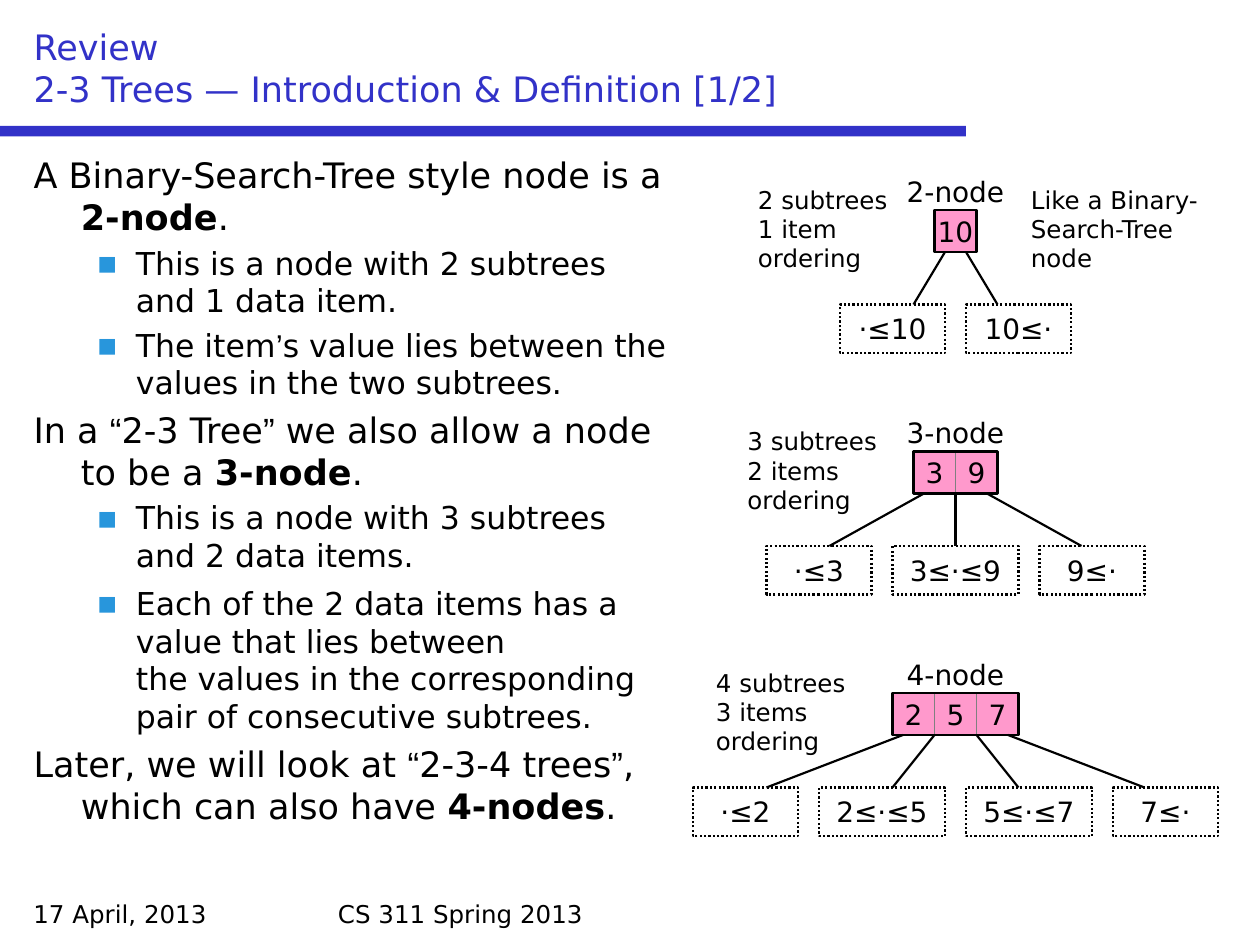
from lxml import etree
from pptx import Presentation
from pptx import util as u
from pptx.dml.color import RGBColor
from pptx.enum import dml, shapes, text
from pptx.oxml.ns import qn

BLUE = RGBColor(0x32, 0x32, 0xC8)
BLACK = RGBColor(0, 0, 0)
PINK = RGBColor(0xFF, 0x99, 0xCC)
GREY = RGBColor(0x80, 0x80, 0x80)
MARK = "2896DC"
SANS, QUOTE = "DejaVu Sans", "Arial"
PX = 9525

TITLE = "Review\n2-3 Trees — Introduction & Definition [1/2]"
BODY = [
    (0, [("A Binary-Search-Tree style node is a ", ""), ("2-node", "b"), (".", "")]),
    (1, [("This is a node with 2 subtrees and 1 data item.", "")]),
    (1, [("The item", ""), ("’", "q"),
         ("s value lies between the values in the two subtrees.", "")]),
    (0, [("In a ", ""), ("“", "q"), ("2-3 Tree", ""), ("”", "q"),
         (" we also allow a node to be a ", ""), ("3-node", "b"), (".", "")]),
    (1, [("This is a node with 3 subtrees and 2 data items.", "")]),
    (1, [("Each of the 2 data items has a value that lies between\n"
          "the values in the corresponding pair of consecutive subtrees.", "")]),
    (0, [("Later, we will look at ", ""), ("“", "q"), ("2-3-4 trees", ""), ("”", "q"),
         (", which can also have ", ""), ("4-nodes", "b"), (".", "")]),
]
LEVELS = [(20, 36, -36), (18, 78, -30)]
NOTES = [
    ("17 April, 2013", (16, 680, 224, 32)),
    ("CS 311 Spring 2013", (248, 680, 464, 32)),
    ("Like a Binary-Search-Tree node", (776, 136, 176, 78)),
]
TREES = [
    {"name": "2-node", "keys": ["10"], "note": "2 subtrees\n1 item\nordering", "left": 568,
     "kids": [("·≤10", 80, 16), ("10≤·", 80, -16)]},
    {"name": "3-node", "keys": ["3", "9"], "note": "3 subtrees\n2 items\nordering", "left": 560,
     "kids": [("·≤3", 80, 8), ("3≤·≤9", 96, 0), ("9≤·", 80, -8)]},
    {"name": "4-node", "keys": ["2", "5", "7"], "note": "4 subtrees\n3 items\nordering", "left": 536,
     "kids": [("·≤2", 80, 16), ("2≤·≤5", 96, 8), ("5≤·≤7", 96, -8), ("7≤·", 80, -16)]},
]
MID, TOP, STEP = 728, 160, 184
CELL, DROP, TALL, GAP, INSET = 32, 72, 37, 16, 8

deck = Presentation()
deck.slide_width, deck.slide_height = 960 * PX, 720 * PX
slide = deck.slides.add_slide(deck.slide_layouts[1])


def place(shape, box):
    shape.left, shape.top, shape.width, shape.height = [v * PX for v in box]


def write(para, words, size, color=BLACK, style=""):
    for i, line in enumerate(words.split("\n")):
        if i:
            para.add_line_break()
        run = para.add_run()
        run.text = line
        run.font.name = QUOTE if style == "q" else SANS
        run.font.size = u.Pt(size)
        run.font.bold = style == "b"
        run.font.color.rgb = color


def label(words, box, size, align=text.PP_ALIGN.LEFT):
    frame = slide.shapes.add_textbox(*[v * PX for v in box]).text_frame
    frame.word_wrap = True
    frame.paragraphs[0].alignment = align
    write(frame.paragraphs[0], words, size)


def rect(box, fill=None, edge=None, width=1.25, words=""):
    shape = slide.shapes.add_shape(shapes.MSO_SHAPE.RECTANGLE, *[v * PX for v in box])
    shape.shadow.inherit = False
    if fill is None:
        shape.fill.background()
    else:
        shape.fill.solid()
        shape.fill.fore_color.rgb = fill
    if edge is None:
        shape.line.fill.background()
    else:
        shape.line.color.rgb = edge
        shape.line.width = u.Pt(width)
    if words:
        frame = shape.text_frame
        frame.word_wrap = False
        frame.vertical_anchor = text.MSO_ANCHOR.MIDDLE
        frame.paragraphs[0].alignment = text.PP_ALIGN.CENTER
        write(frame.paragraphs[0], words, 16)
    return shape


def link(start, end):
    line = slide.shapes.add_connector(
        shapes.MSO_CONNECTOR.STRAIGHT, *[v * PX for v in start + end])
    line.line.color.rgb = BLACK
    line.line.width = u.Pt(1.25)
    etree.SubElement(line._element.spPr, qn("a:effectLst"))
    return line


def bullet(para, level):
    size, left, hang = LEVELS[level]
    props = para._p.get_or_add_pPr()
    props.set("marL", str(left * PX))
    props.set("indent", str(hang * PX))
    if level == 0:
        etree.SubElement(props, qn("a:buNone"))
        return size
    tint = etree.SubElement(props, qn("a:buClr"))
    etree.SubElement(tint, qn("a:srgbClr"), val=MARK)
    etree.SubElement(props, qn("a:buFont"), typeface=SANS)
    etree.SubElement(props, qn("a:buChar"), char="▪")
    return size


def tree(data, top):
    keys, kids = data["keys"], data["kids"]
    wide = CELL * len(keys)
    left = MID - wide // 2
    base, low = top + CELL, top + DROP
    if len(keys) == 1:
        root = rect((left, top, CELL, CELL), PINK, BLACK, words=keys[0])
    else:
        for i, key in enumerate(keys):
            rect((left + i * CELL, top, CELL, CELL), PINK, GREY, 0.75, key)
        root = rect((left, top, wide, CELL), None, BLACK)
    label(data["name"], (MID - 48, top - 32, 96, 36), 16, text.PP_ALIGN.CENTER)
    label(data["note"], (data["left"], top - 24, 120, 78), 14)
    x = MID - (sum(kid[1] for kid in kids) + GAP * (len(kids) - 1)) // 2
    for i, (words, width, shift) in enumerate(kids):
        leaf = rect((x, low, width, TALL), None, BLACK, words=words)
        leaf.line.dash_style = dml.MSO_LINE.ROUND_DOT
        start = min(max(left + i * CELL, left + INSET), left + wide - INSET)
        if shift == 0:
            start = MID
        line = link((start, base), (x + width // 2 + shift, low))
        if shift == 0:
            line.begin_connect(root, 2)
            line.end_connect(leaf, 0)
        x += width + GAP


rect((0, 96, 736, 8), BLUE)

title = slide.shapes.title
place(title, (16, 16, 928, 72))
title.text_frame.auto_size = text.MSO_AUTO_SIZE.NONE
title.text_frame.vertical_anchor = text.MSO_ANCHOR.BOTTOM
title.text_frame.paragraphs[0].alignment = text.PP_ALIGN.LEFT
write(title.text_frame.paragraphs[0], TITLE, 20, BLUE)

body = slide.placeholders[1]
place(body, (16, 112, 504, 560))
frame = body.text_frame
frame.auto_size = text.MSO_AUTO_SIZE.NONE
for i, (level, runs) in enumerate(BODY):
    para = frame.add_paragraph() if i else frame.paragraphs[0]
    para.level = level
    size = bullet(para, level)
    if i == 0:
        para.space_before = u.Pt(0)
    for words, style in runs:
        write(para, words, size, style=style)

for words, box in NOTES:
    label(words, box, 14)
for i, data in enumerate(TREES):
    tree(data, TOP + i * STEP)

deck.save("out.pptx")
